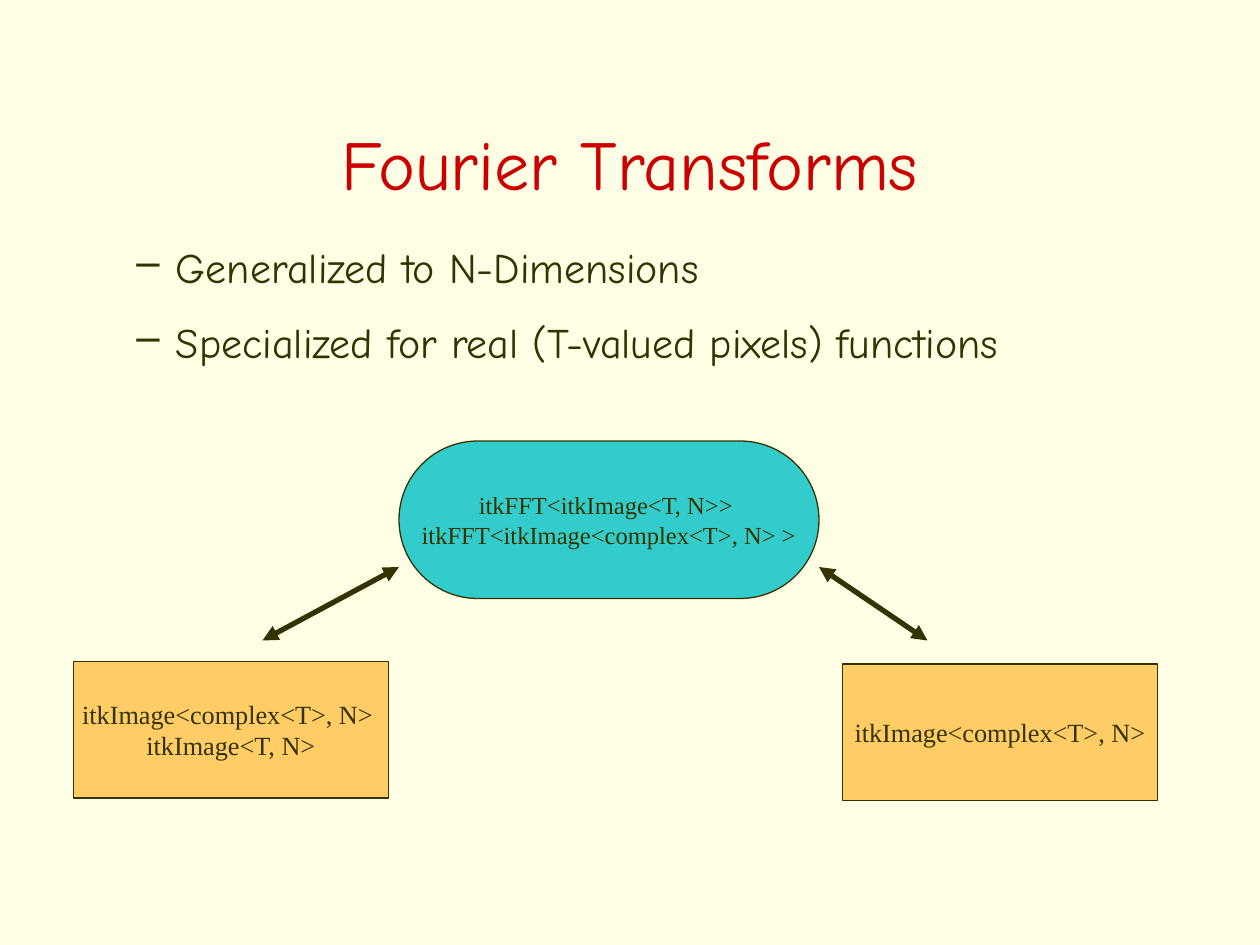
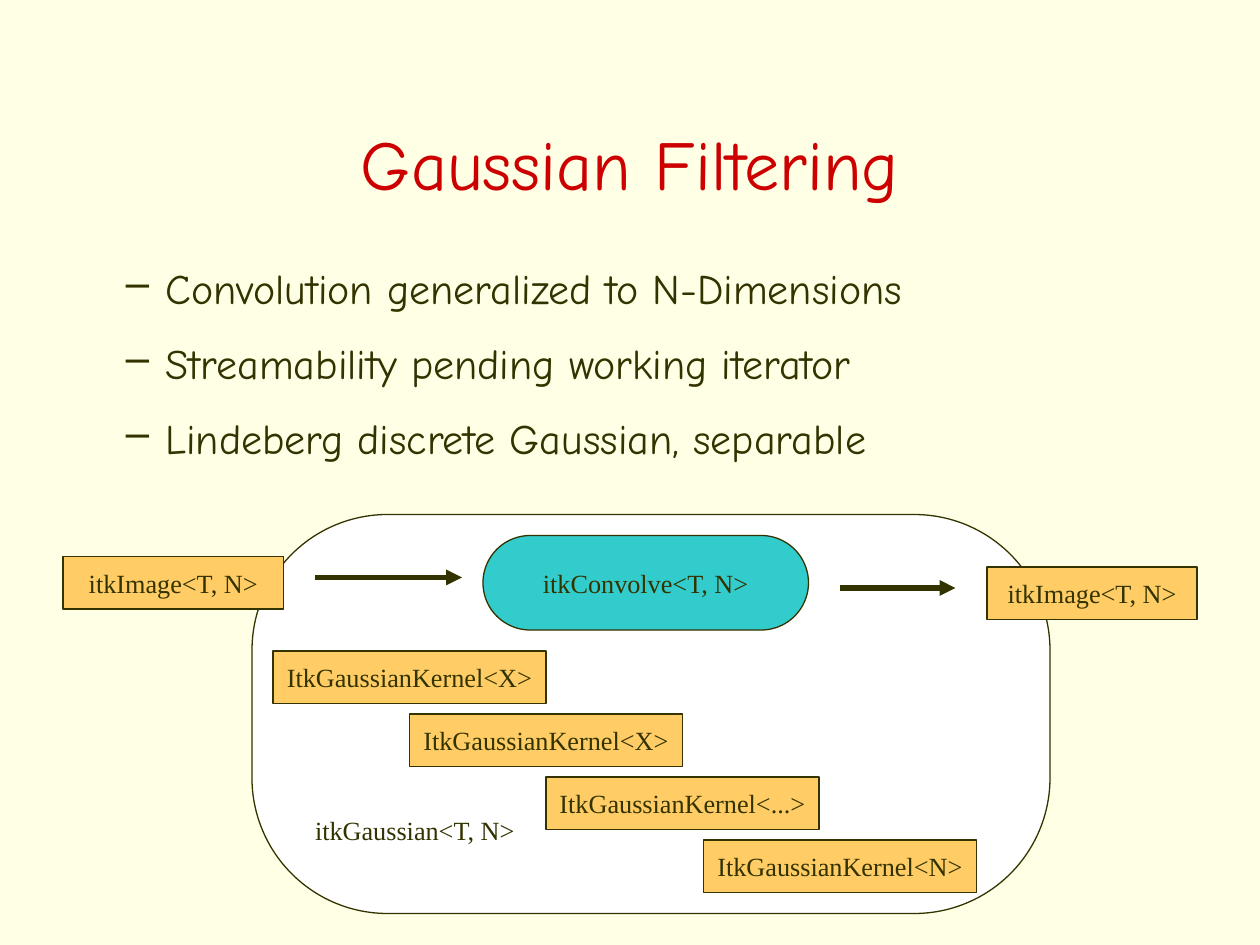
from lxml.etree import SubElement
from pptx import Presentation
from pptx.dml.color import RGBColor
from pptx.enum.shapes import MSO_CONNECTOR as Connector, MSO_SHAPE as Shape
from pptx.enum.text import MSO_ANCHOR as Anchor, PP_ALIGN as Align
from pptx.oxml.ns import qn
from pptx.util import Pt

COLORS = {
    "background": "FFFFE5",
    "title": "CC0000",
    "ink": "333300",
    "filter": "33CCCC",
    "data": "FFCC66",
    "group": "FFFFFF",
}
HEADING_FONT = "Comic Neue"
CODE_FONT = "Times New Roman"


def color(name):
    return RGBColor.from_string(COLORS[name])


def write(frame, text, font=CODE_FONT, size=15, ink="ink", align=Align.CENTER,
          anchor=Anchor.MIDDLE, wrap=True, margins=(0, 0), spacing=None,
          after=None, bullet=None):
    frame.word_wrap = wrap
    frame.vertical_anchor = anchor
    frame.margin_left = frame.margin_right = Pt(margins[0])
    frame.margin_top = frame.margin_bottom = Pt(margins[1])
    for index, line in enumerate(text.split("\n")):
        paragraph = frame.add_paragraph() if index else frame.paragraphs[0]
        paragraph.alignment = align
        if spacing:
            paragraph.line_spacing = spacing
        if after:
            paragraph.space_after = Pt(after)
        run = paragraph.add_run()
        run.text = line
        run.font.name = font
        run.font.size = Pt(size)
        run.font.color.rgb = color(ink)
        if bullet:
            properties = paragraph._p.get_or_add_pPr()
            properties.set("marL", str(Pt(58.5)))
            properties.set("indent", str(Pt(-22.5)))
            bullet_color = SubElement(properties, qn("a:buClr"))
            SubElement(bullet_color, qn("a:srgbClr"), val=COLORS[ink])
            SubElement(properties, qn("a:buChar"), char=bullet)


class Deck:
    def __init__(self):
        self.presentation = Presentation()
        self.presentation.slide_width = Pt(720)
        self.presentation.slide_height = Pt(540)
        self.slide = None

    def new_slide(self):
        self.slide = self.presentation.slides.add_slide(
            self.presentation.slide_layouts[6])
        background = self.slide.background.fill
        background.solid()
        background.fore_color.rgb = color("background")

    def label(self, text, box, **style):
        area = self.slide.shapes.add_textbox(*map(Pt, box))
        write(area.text_frame, text, **style)

    def title(self, text):
        self.label(text, (54, 48, 612, 90), font=HEADING_FONT, size=40,
                   ink="title")

    def bullets(self, lines, box):
        self.label("\n".join(lines), box, font=HEADING_FONT, size=24,
                   align=Align.LEFT, anchor=Anchor.TOP, after=14.1, bullet="–")

    def block(self, fill, box, text="", rounding=None, size=15):
        outline = Shape.RECTANGLE if rounding is None else Shape.ROUNDED_RECTANGLE
        block = self.slide.shapes.add_shape(outline, *map(Pt, box))
        if rounding is not None:
            block.adjustments[0] = rounding
        block.shadow.inherit = False
        block.fill.solid()
        block.fill.fore_color.rgb = color(fill)
        block.line.color.rgb = color("ink")
        block.line.width = Pt(0.75)
        if text:
            write(block.text_frame, text, size=size, wrap=False,
                  margins=(7.2, 3.6))

    def data(self, text, box):
        self.block("data", box, text)

    def filter(self, text, box, size=15):
        self.block("filter", box, text, rounding=0.5, size=size)

    def arrow(self, start, end, both_ways=False):
        arrow = self.slide.shapes.add_connector(
            Connector.STRAIGHT, *map(Pt, start + end))
        arrow.line.color.rgb = color("ink")
        arrow.line.width = Pt(3)
        line = arrow.line._get_or_add_ln()
        for tip in ("a:headEnd", "a:tailEnd") if both_ways else ("a:tailEnd",):
            SubElement(line, qn(tip), type="triangle")
        SubElement(arrow._element.spPr, qn("a:effectLst"))


def fourier_slide(deck):
    deck.new_slide()
    deck.title("Fourier Transforms")
    deck.bullets(["Generalized to N-Dimensions",
                  "Specialized for real (T-valued pixels) functions"],
                 (42, 138, 612, 96))
    deck.filter("itkFFT<itkImage<T, N>> \nitkFFT<itkImage<complex<T>, N> >",
                (228, 252, 240, 90), size=14)
    deck.data("itkImage<complex<T>, N> \nitkImage<T, N>", (42, 378, 180, 78))
    deck.data("itkImage<complex<T>, N>", (481.5, 379.5, 180, 78))
    deck.arrow((228, 324), (150, 366), both_ways=True)
    deck.arrow((530, 366), (468, 324), both_ways=True)


def gaussian_slide(deck):
    deck.new_slide()
    deck.block("group", (144, 294, 456, 228), rounding=0.34)
    deck.title("Gaussian Filtering")
    deck.bullets(["Convolution generalized to N-Dimensions",
                  "Streamability pending working iterator",
                  "Lindeberg discrete Gaussian, separable"],
                 (36, 150, 612, 120))
    deck.label("itkGaussian<T, N>", (180, 468, 117.5, 16.5), align=Align.LEFT,
               anchor=Anchor.TOP, spacing=0.85)
    kernels = [("X", 156), ("X", 234), ("...", 312), ("N", 402)]
    for step, (dimension, left) in enumerate(kernels):
        deck.data(f"ItkGaussianKernel<{dimension}>",
                  (left, 372 + 36 * step, 156, 30))
    for box in ((36, 318, 126, 30), (564, 324, 120, 30)):
        deck.data("itkImage<T, N>", box)
    deck.arrow((180, 330), (264, 330))
    deck.arrow((480, 336), (546, 336))
    deck.filter("itkConvolve<T, N>", (276, 306, 186, 54))


def main():
    deck = Deck()
    fourier_slide(deck)
    gaussian_slide(deck)
    deck.presentation.save("out.pptx")


if __name__ == "__main__":
    main()
